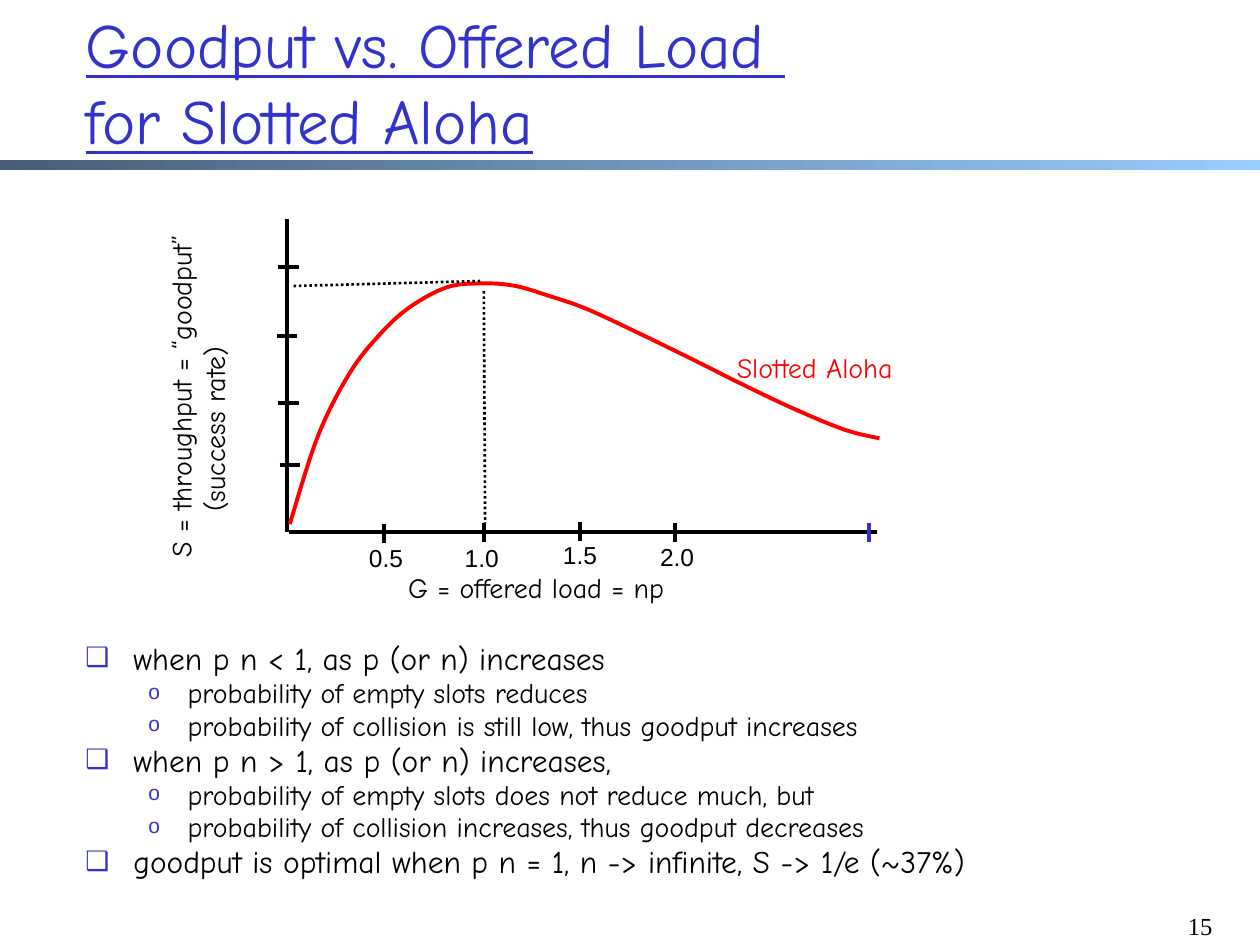
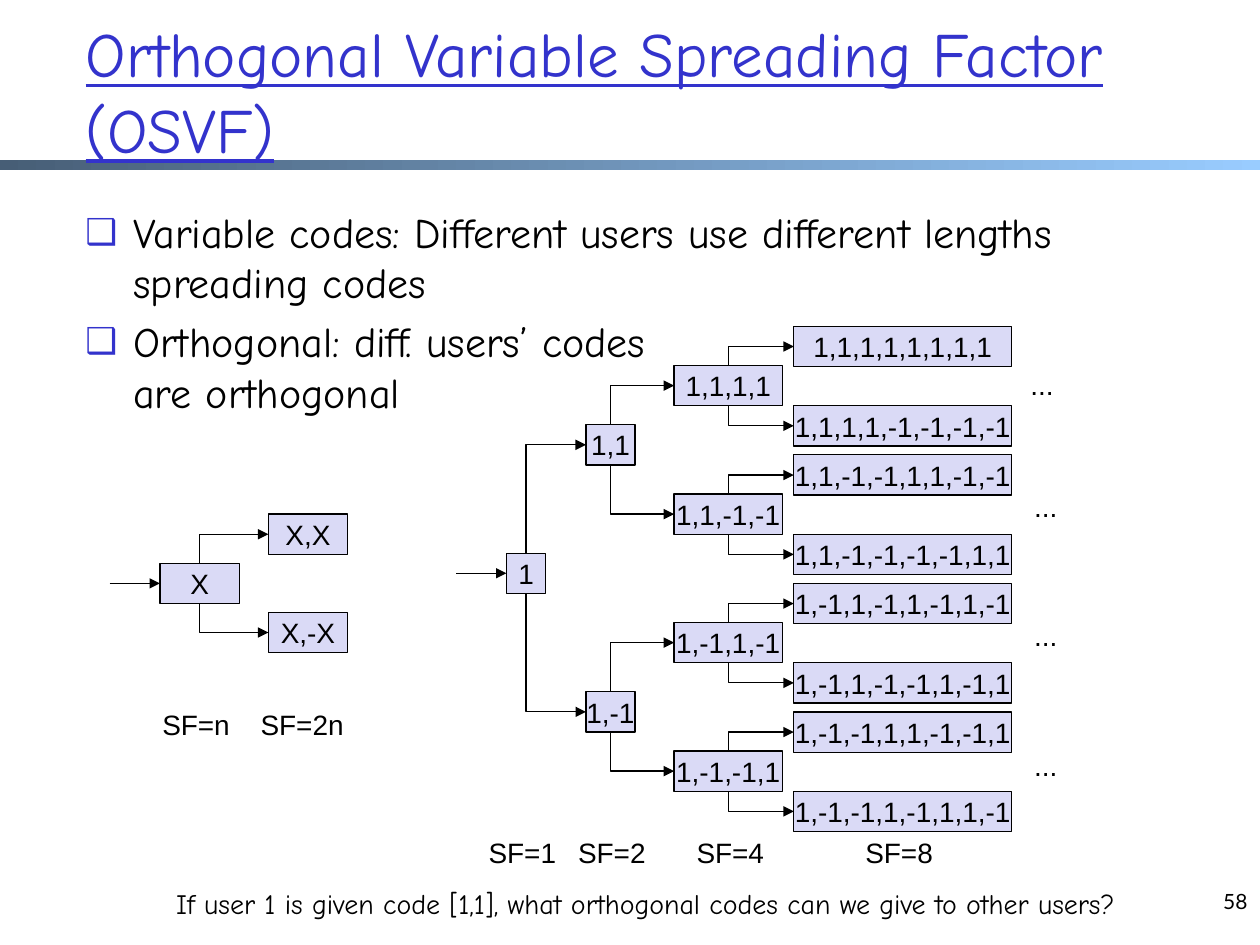
from dataclasses import dataclass

from lxml import etree
from pptx import Presentation
from pptx import util as u
from pptx.dml.color import RGBColor
from pptx.enum import dml, shapes, text
from pptx.oxml import ns

COLORS = {
    "title": "3333CC",
    "ink": "000000",
    "curve": "FF0000",
    "code": "DADAF6",
    "band_start": "475E76",
    "band_end": "99CCFF",
}
HAND, SANS = "Comic Neue", "Arial"
BULLETS = (("❑", 85, 0.38, 0.38), ("o", 75, 0.81, 0.31))
BOX_HEIGHT = 0.32
CURVE_KNOTS = (
    (2.3, 4.16), (2.52, 3.47), (2.77, 2.97), (3.01, 2.66), (3.25, 2.44),
    (3.55, 2.28), (3.83, 2.25), (4.09, 2.27), (4.36, 2.35), (4.65, 2.45),
    (5.06, 2.64), (5.49, 2.85), (5.89, 3.05), (6.29, 3.24), (6.7, 3.41),
    (6.98, 3.48),
)


@dataclass
class Label:
    words: str
    left: float
    top: float
    width: float
    height: float = 0.37
    size: float = 16
    font: str = SANS
    color: str = "ink"
    align: text.PP_ALIGN = text.PP_ALIGN.LEFT
    wrap: bool = False


@dataclass
class Stroke:
    start: tuple[float, float]
    end: tuple[float, float]
    color: str = "ink"
    width: float = 2.25
    dotted: bool = False
    arrow: bool = False


@dataclass
class Item:
    words: str
    size: float
    level: int = 0


@dataclass
class CodeLevel:
    left: float
    width: float
    tops: tuple[float, ...]


CODE_LEVELS = (
    CodeLevel(4.02, 0.31, (4.39,)),
    CodeLevel(4.65, 0.39, (3.37, 5.49)),
    CodeLevel(5.35, 0.86, tuple(2.9 + 1.02 * row for row in range(4))),
    CodeLevel(6.3, 1.73, tuple(2.59 + 1.02 * (row // 2) + 0.63 * (row % 2) for row in range(8))),
)


def rgb(name: str) -> RGBColor:
    return RGBColor.from_string(COLORS[name])


def inches(*lengths: float) -> list[u.Inches]:
    return [u.Inches(length) for length in lengths]


def style_text(para, size: float, font: str, color: str, underline: bool = False) -> None:
    for span in para.runs:
        span.font.size = u.Pt(size)
        span.font.name = font
        span.font.color.rgb = rgb(color)
        span.font.underline = underline


def add_label(page, label: Label):
    box = page.shapes.add_textbox(*inches(label.left, label.top, label.width, label.height))
    frame = box.text_frame
    frame.word_wrap = label.wrap
    frame.text = label.words
    for para in frame.paragraphs:
        para.alignment = label.align
        style_text(para, label.size, label.font, label.color)
    return box


def style_line(connector, stroke: Stroke) -> None:
    line = connector.line
    line.color.rgb = rgb(stroke.color)
    line.width = u.Pt(stroke.width)
    if stroke.dotted:
        line.dash_style = dml.MSO_LINE.ROUND_DOT
    if stroke.arrow:
        etree.SubElement(line._get_or_add_ln(), ns.qn("a:tailEnd"), type="triangle")
    etree.SubElement(connector._element.spPr, ns.qn("a:effectLst"))


def add_stroke(page, stroke: Stroke):
    connector = page.shapes.add_connector(
        shapes.MSO_CONNECTOR.STRAIGHT, *inches(*stroke.start, *stroke.end))
    style_line(connector, stroke)
    return connector


def add_items(page, items: list[Item], left: float, top: float, width: float,
              height: float, spacing: float) -> None:
    frame = page.shapes.add_textbox(*inches(left, top, width, height)).text_frame
    frame.word_wrap = True
    for index, item in enumerate(items):
        para = frame.add_paragraph() if index else frame.paragraphs[0]
        para.text = item.words
        para.level = item.level
        mark, percent, margin, hang = BULLETS[item.level]
        props = para._p.get_or_add_pPr()
        props.set("marL", str(u.Inches(margin)))
        props.set("indent", str(-u.Inches(hang)))
        tint = etree.SubElement(props, ns.qn("a:buClr"))
        etree.SubElement(tint, ns.qn("a:srgbClr"), val=COLORS["title"])
        etree.SubElement(props, ns.qn("a:buSzPct"), val=str(percent * 1000))
        etree.SubElement(props, ns.qn("a:buFont"), typeface=SANS)
        etree.SubElement(props, ns.qn("a:buChar"), char=mark)
        para.line_spacing = spacing
        if index:
            para.space_before = u.Pt(round(item.size * 0.2, 1))
        style_text(para, item.size, HAND, "ink")


def add_page(deck, title: str, top: float, width: float, number: Label):
    page = deck.slides.add_slide(deck.slide_layouts[5])
    heading = page.shapes.title
    heading.left, heading.top, heading.width, heading.height = inches(0.58, top, width, 1.25)
    frame = heading.text_frame
    frame.auto_size = text.MSO_AUTO_SIZE.NONE
    frame.word_wrap = True
    frame.vertical_anchor = text.MSO_ANCHOR.MIDDLE
    para = frame.paragraphs[0]
    para.text = title
    para.alignment = text.PP_ALIGN.LEFT
    style_text(para, 36, HAND, "title", underline=True)

    band = page.shapes.add_shape(shapes.MSO_SHAPE.RECTANGLE, *inches(0, 1.27, 10, 0.08))
    band.shadow.inherit = False
    band.line.fill.background()
    band.fill.gradient()
    band.fill.gradient_angle = 0
    for stop, color in zip(band.fill.gradient_stops, ("band_start", "band_end")):
        stop.color.rgb = rgb(color)
    page.shapes._spTree.insert(2, band._element)
    add_label(page, number)
    return page


def add_curve(page) -> None:
    knots = (CURVE_KNOTS[0], *CURVE_KNOTS, CURVE_KNOTS[-1])
    steps = 8
    points = []
    for before, start, end, after in zip(knots, knots[1:], knots[2:], knots[3:]):
        for step in range(1, steps + 1):
            t = step / steps
            points.append(tuple(
                u.Inches(b + ((c - a) * t + (2 * a - 5 * b + 4 * c - d) * t ** 2
                              + (3 * b - a - 3 * c + d) * t ** 3) / 2)
                for a, b, c, d in zip(before, start, end, after)))
    builder = page.shapes.build_freeform(*inches(*CURVE_KNOTS[0]))
    builder.add_line_segments(points, close=False)
    curve = builder.convert_to_shape()
    curve.shadow.inherit = False
    curve.fill.background()
    curve.line.color.rgb = rgb("curve")
    curve.line.width = u.Pt(2.25)


def add_code(page, words: str, left: float, top: float, width: float):
    box = page.shapes.add_shape(
        shapes.MSO_SHAPE.RECTANGLE, *inches(left, top, width, BOX_HEIGHT))
    box.shadow.inherit = False
    box.fill.solid()
    box.fill.fore_color.rgb = rgb("code")
    box.line.color.rgb = rgb("ink")
    box.line.width = u.Pt(0.75)
    frame = box.text_frame
    frame.word_wrap = False
    frame.vertical_anchor = text.MSO_ANCHOR.MIDDLE
    frame.text = words
    frame.paragraphs[0].alignment = text.PP_ALIGN.CENTER
    style_text(frame.paragraphs[0], 16, SANS, "ink")
    return box


def add_entry(page, box, left: float) -> None:
    middle = (box.top + box.height // 2) / u.Inches(1)
    arrow = add_stroke(page, Stroke((left, middle), (box.left / u.Inches(1), middle),
                                    width=0.75, arrow=True))
    arrow.end_connect(box, 1)


def add_branch(page, parent, child) -> None:
    downward = child.top > parent.top
    start_x = parent.left + parent.width // 2
    start_y = parent.top + (parent.height if downward else 0)
    end_x, end_y = child.left, child.top + child.height // 2
    branch = page.shapes.add_connector(
        shapes.MSO_CONNECTOR.ELBOW, start_x, start_y, end_x, end_y)
    branch.begin_connect(parent, 2 if downward else 0)
    branch.end_connect(child, 1)
    across, along = end_x - start_x, abs(end_y - start_y)
    branch.left = (start_x + end_x - along) // 2
    branch.top = (start_y + end_y - across) // 2
    branch.width, branch.height = along, across
    frame = branch._element.spPr.find(ns.qn("a:xfrm"))
    frame.attrib.pop("flipV", None)
    frame.set("rot", "16200000")
    if downward:
        frame.set("flipH", "1")
    branch._element.spPr.find(ns.qn("a:prstGeom")).set("prst", "bentConnector2")
    style_line(branch, Stroke((0, 0), (0, 0), width=0.75, arrow=True))


def add_code_tree(page, code: list[int], depth: int = 0, row: int = 0):
    level = CODE_LEVELS[depth]
    box = add_code(page, ",".join(map(str, code)), level.left, level.tops[row], level.width)
    if depth + 1 < len(CODE_LEVELS):
        for branch, sign in enumerate((1, -1)):
            longer = code + [sign * chip for chip in code]
            add_branch(page, box, add_code_tree(page, longer, depth + 1, 2 * row + branch))
    return box


def build_goodput(deck) -> None:
    number = Label("15", 9.25, 7.18, 0.47, 0.32, 14, "Times New Roman",
                   align=text.PP_ALIGN.RIGHT, wrap=True)
    page = add_page(deck, "Goodput vs. Offered Load \nfor Slotted Aloha", 0.02, 8.78, number)
    axis_title = add_label(page, Label("S = throughput = “goodput”\n(success rate)",
                                       -0.06, 2.57, 3.26, 0.64, font=HAND, wrap=True))
    axis_title.rotation = 270
    axis_title.text_frame.paragraphs[1]._p.get_or_add_pPr().set("marL", str(u.Inches(0.36)))

    strokes = [Stroke((2.29, 4.22), (6.96, 4.22)), Stroke((2.28, 4.22), (2.28, 1.74))]
    for x, top in ((3.05, 4.16), (3.84, 4.15), (4.6, 4.14), (5.36, 4.15)):
        strokes.append(Stroke((x, top), (x, top + 0.15)))
    strokes.append(Stroke((6.9, 4.15), (6.9, 4.3), "title"))
    for left, y in ((2.21, 2.12), (2.2, 2.67), (2.21, 3.2), (2.22, 3.69)):
        strokes.append(Stroke((left, y), (left + 0.16, y)))
    for stroke in strokes:
        add_stroke(page, stroke)

    add_label(page, Label("G = offered load = np", 3.14, 4.48, 2.39, font=HAND))
    for words, left, top in (("0.5", 2.83, 4.26), ("1.0", 3.59, 4.26),
                             ("1.5", 4.37, 4.24), ("2.0", 5.14, 4.25)):
        add_label(page, Label(words, left, top, 0.47, 0.33, 14))
    add_label(page, Label("Slotted Aloha", 5.75, 2.73, 1.64, font=HAND, color="curve"))
    add_curve(page)
    for start, end in (((3.84, 2.31), (3.85, 4.15)), ((2.33, 2.27), (3.83, 2.23))):
        add_stroke(page, Stroke(start, end, width=1.5, dotted=True))

    add_items(page, [
        Item("when p n < 1, as p (or n) increases", 18),
        Item("probability of empty slots reduces", 16, 1),
        Item("probability of collision is still low, thus goodput increases", 16, 1),
        Item("when p n > 1, as p (or n) increases,", 18),
        Item("probability of empty slots does not reduce much, but", 16, 1),
        Item("probability of collision increases, thus goodput decreases", 16, 1),
        Item("goodput is optimal when p n = 1, n -> infinite, S -> 1/e (~37%)", 18),
    ], 0.58, 5.08, 8.91, 2.25, 0.8)


def build_spreading(deck) -> None:
    number = Label("58", 7.67, 7, 2.33, 0.5, 12, "Lato", align=text.PP_ALIGN.RIGHT, wrap=True)
    page = add_page(deck, "Orthogonal Variable Spreading Factor (OSVF)", 0.09, 8.5, number)
    add_items(page, [
        Item("Variable codes: Different users use different lengths spreading codes", 24),
        Item("Orthogonal: diff. users’ codes\nare orthogonal", 24),
    ], 0.58, 1.59, 8.5, 5.08, 1.0)

    add_entry(page, add_code_tree(page, [1]), 3.62)
    rule = add_code(page, "X", 1.27, 4.47, 0.63)
    for words, top in (("X,X", 4.08), ("X,-X", 4.86)):
        add_branch(page, rule, add_code(page, words, 2.13, top, 0.63))
    add_entry(page, rule, 0.87)

    for words, left, top, width in (
        ("SF=1", 3.78, 6.58, 0.74), ("SF=2", 4.49, 6.58, 0.74),
        ("SF=4", 5.43, 6.58, 0.74), ("SF=8", 6.77, 6.58, 0.74),
        ("SF=n", 1.19, 5.57, 0.74), ("SF=2n", 1.97, 5.57, 0.87),
        ("...", 8.08, 2.87, 0.39), ("...", 8.11, 3.84, 0.39),
        ("...", 8.11, 4.86, 0.39), ("...", 8.11, 5.89, 0.39),
    ):
        add_label(page, Label(words, left, top, width))
    add_label(page, Label(
        "If user 1 is given code [1,1], what orthogonal codes can we give to other users?",
        0.59, 6.99, 9.07, font=HAND, align=text.PP_ALIGN.CENTER, wrap=True))


def main() -> None:
    deck = Presentation()
    deck.slide_width, deck.slide_height = inches(10, 7.5)
    build_goodput(deck)
    build_spreading(deck)
    deck.save("out.pptx")


if __name__ == "__main__":
    main()
